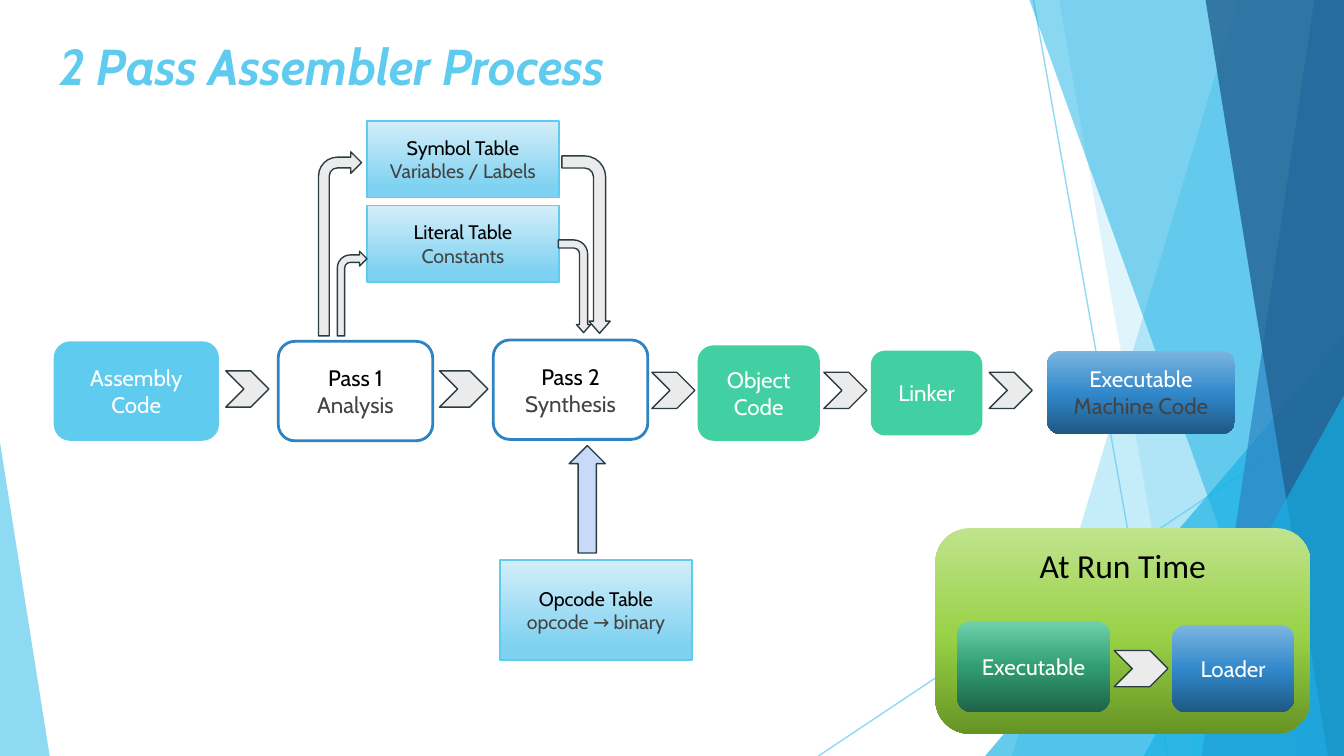
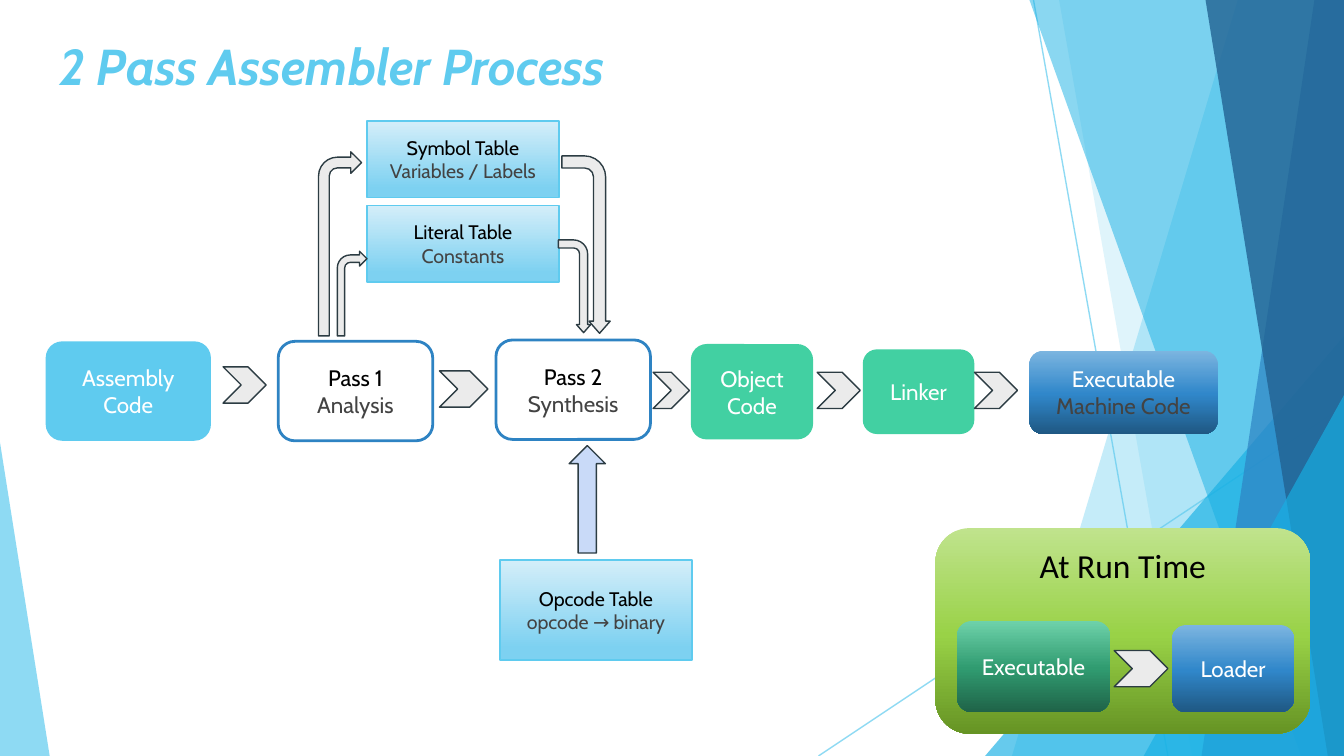
from dataclasses import dataclass

from lxml.etree import SubElement
from pptx import Presentation
from pptx.dml.color import RGBColor
from pptx.enum.shapes import MSO_CONNECTOR, MSO_SHAPE as Preset
from pptx.enum.text import MSO_ANCHOR as Anchor, MSO_AUTO_SIZE as AutoSize, PP_ALIGN as Align
from pptx.oxml.ns import qn
from pptx.util import Inches, Pt

COLORS = {
    "sky": "5FCBEF", "cyan": "17B0E4", "blue": "2E83C3", "navy": "226292",
    "mint": "42D0A2", "white": "FFFFFF", "black": "000000", "dark": "434343",
    "arrow": "EBEBEB", "outline": "2C3C43", "opcode": "C9DAF8",
}
GRADIENTS = {
    "table": [(0, "D4EEF9"), (88, "7DD1F1")],
    "lime": [(0, "C0E38D"), (52, "99D247"), (100, "669424")],
    "emerald": [(0, "6ED2AA"), (52, "309B70"), (100, "1F6348")],
    "ocean": [(0, "7CB5E0"), (52, "3087CA"), (100, "1F5883")],
}
FONT = "Cabin"
SLIDE_WIDTH, SLIDE_HEIGHT = Inches(10), Inches(5.625)
COLUMNS, ROWS = 100, 56.25


@dataclass
class Box:
    left: float
    top: float
    width: float
    height: float

    def inside(self, left, top, width, height):
        return Box(self.left + left, self.top + top, width, height)

    def emu(self):
        return (*grid_point(self.left, self.top), *grid_point(self.width, self.height))


PAGE = Box(0, 0, COLUMNS, ROWS)
TITLE = PAGE.inside(3.4, 1.6, 93.2, 6.3)
TABLES = PAGE.inside(23.7, 9, 26, 16)
PIPELINE = PAGE.inside(3.4, 25.3, 88.5, 7.5)
OPCODE = PAGE.inside(37.2, 33, 14.3, 16.1)
RUNTIME = PAGE.inside(69.6, 39.3, 27.9, 15.3)

STAGES = [
    (["Assembly Code"], 12.3, 7.4, "sky", None, "white"),
    (["Pass 1", "Analysis"], 11.5, 7.4, "white", "blue", "black"),
    (["Pass 2", "Synthesis"], 11.5, 7.4, "white", "blue", "black"),
    (["Object Code"], 9.1, 7.1, "mint", None, "white"),
    (["Linker"], 8.3, 6.3, "mint", None, "white"),
    (["Executable", "Machine Code"], 14, 6.2, "ocean", None, "white"),
]
PROCESSES = [
    {
        "stages": [(0.6, 0.1), (17.3, 0.1), (33.3, 0), (48.5, 0.4), (61.4, 0.8), (74.5, 0.8)],
        "chevrons": [(13.4, 2.3, 3.2), (29.3, 2.3, 3.6), (45.1, 2.4, 3.2),
                     (57.9, 2.4, 3.2), (70.2, 2.4, 3.2)],
    },
    {
        "stages": [(0, 0.1), (17.3, 0.1), (33.5, 0), (48, 0.3), (60.8, 0.7), (73.2, 0.8)],
        "chevrons": [(13.2, 2, 3.2), (29.3, 2.3, 3.6), (45.2, 2.4, 2.7),
                     (57.4, 2.4, 3.2), (69.1, 2.4, 3.2)],
    },
]
RAYS = [((76.9, 0), (86.9, ROWS)), ((COLUMNS, 30.2), (60.9, ROWS))]
FACETS = [
    ("band", 92.1, 75.3, "sky", 36),
    ("band", 78.8, 88.7, "sky", 20),
    ("triangle", Box(73.3, 25, 26.7, 31.25), 1, "cyan", 66),
    ("band", 76.6, 96.8, "cyan", 50),
    ("band", 97.8, 89.4, "blue", 70),
    ("band", 89.7, 98.8, "navy", 80),
    ("triangle", Box(85.1, 29.4, 14.9, 26.85), 1, "cyan", 66),
    ("triangle", Box(0, 32.9, 3.7, 23.35), 0, "sky", 70),
]


def grid_point(column, row):
    return round(column * SLIDE_WIDTH / COLUMNS), round(row * SLIDE_HEIGHT / ROWS)


def color(name):
    return RGBColor.from_string(COLORS[name])


def set_alpha(element, percent):
    for solid in element.spPr.iter(qn("a:solidFill")):
        SubElement(solid[0], qn("a:alpha"), val=str(percent * 1000))


def paint(shape, fill, line=None, weight=0.75):
    shape.shadow.inherit = False
    if fill in GRADIENTS:
        shape.fill.gradient()
        shape.fill.gradient_angle = 270
        stops = shape.element.spPr.find(qn("a:gradFill")).find(qn("a:gsLst"))
        for stop in list(stops):
            stops.remove(stop)
        for position, value in GRADIENTS[fill]:
            stop = SubElement(stops, qn("a:gs"), pos=str(position * 1000))
            SubElement(stop, qn("a:srgbClr"), val=value)
    else:
        shape.fill.solid()
        shape.fill.fore_color.rgb = color(fill)
    if line:
        shape.line.color.rgb = color(line)
        shape.line.width = Pt(weight)
    else:
        shape.line.fill.background()


def write(shape, lines, size, first_color, font=FONT, anchor=Anchor.MIDDLE, inset=0.1):
    frame = shape.text_frame
    frame.word_wrap = True
    frame.vertical_anchor = anchor
    frame.margin_left = frame.margin_right = Inches(0.1)
    frame.margin_top = frame.margin_bottom = Inches(inset)
    for index, line in enumerate(lines):
        paragraph = frame.add_paragraph() if index else frame.paragraphs[0]
        paragraph.text = line
        paragraph.alignment = Align.CENTER
        paragraph.font.name = font
        paragraph.font.size = Pt(size)
        paragraph.font.color.rgb = color("dark" if index else first_color)


def add_preset(slide, preset, box, fill, line=None, weight=0.75):
    shape = slide.shapes.add_shape(preset, *box.emu())
    paint(shape, fill, line, weight)
    return shape


def add_stage(slide, box, lines, fill, line=None, text_color="white"):
    shape = add_preset(slide, Preset.ROUNDED_RECTANGLE, box, fill, line, 1.5)
    write(shape, lines, 12, text_color)


def add_table_box(slide, box, lines):
    shape = add_preset(slide, Preset.RECTANGLE, box, "table", "sky", 1)
    write(shape, lines, 10.5, "black")


def add_arrow(slide, preset, box, fill="arrow", rotation=0):
    shape = add_preset(slide, preset, box, fill, "outline")
    shape.rotation = rotation
    return shape


def add_backdrop(master, slide):
    group = slide.shapes.add_group_shape()
    for start, end in RAYS:
        ray = group.shapes.add_connector(
            MSO_CONNECTOR.STRAIGHT, *grid_point(*start), *grid_point(*end))
        ray.line.color.rgb = color("sky")
        ray.line.width = Pt(0.75)
        set_alpha(ray.element, 70)
        SubElement(ray.element.spPr, qn("a:effectLst"))
    for kind, place, edge, fill, alpha in FACETS:
        if kind == "band":
            corners = [(COLUMNS, 0), (COLUMNS, ROWS), (edge, ROWS)]
            builder = group.shapes.build_freeform(*grid_point(place, 0))
            builder.add_line_segments([grid_point(*corner) for corner in corners], close=True)
            facet = builder.convert_to_shape()
        else:
            facet = group.shapes.add_shape(Preset.ISOSCELES_TRIANGLE, *place.emu())
            facet.adjustments[0] = edge
        paint(facet, fill)
        set_alpha(facet.element, alpha)
    for number, properties in enumerate(group.element.iter(qn("p:cNvPr")), 100):
        properties.set("id", str(number))
    master.shapes.element.insert(2, group.element)


def add_title(slide, box):
    title = slide.shapes.title
    title.left, title.top, title.width, title.height = box.emu()
    write(title, ["2 Pass Assembler Process"], 27, "sky", anchor=Anchor.TOP)
    title.text_frame.auto_size = AutoSize.NONE
    paragraph = title.text_frame.paragraphs[0]
    paragraph.alignment = Align.LEFT
    paragraph.font.bold = paragraph.font.italic = True


def add_lookup_tables(slide, box):
    tables = [["Symbol Table", "Variables / Labels"], ["Literal Table", "Constants"]]
    for row, lines in enumerate(tables):
        add_table_box(slide, box.inside(3.6, row * 6.3, 14.3, 5.7), lines)
    for place in [(1.4, 9.7, 2.2, 6.3), (0, 2.3, 3.2, 13.7)]:
        add_arrow(slide, Preset.BENT_ARROW, box.inside(*place))
    for place in [(13.3, 7.4, 13.2, 3.6), (15.6, 11.1, 6.9, 2.4)]:
        arrow = add_arrow(slide, Preset.BENT_ARROW, box.inside(*place), rotation=90)
        arrow.adjustments[1] = 0.22


def add_pipeline(slide, box, process):
    for (left, top), stage in zip(process["stages"], STAGES):
        lines, width, height, fill, line, text_color = stage
        add_stage(slide, box.inside(left, top, width, height), lines, fill, line, text_color)
    for left, top, width in process["chevrons"]:
        add_arrow(slide, Preset.CHEVRON, box.inside(left, top, width, 2.7))


def add_opcode_table(slide, box):
    add_table_box(slide, box.inside(0, 8.7, 14.3, 7.4), ["Opcode Table", "opcode → binary"])
    add_arrow(slide, Preset.RIGHT_ARROW, box.inside(2.5, 2.8, 8, 2.7), "opcode", 270)


def add_runtime_panel(slide, box):
    panel = add_preset(slide, Preset.ROUNDED_RECTANGLE, box, "lime")
    write(panel, ["At Run Time"], 18, "black", "Calibri", Anchor.TOP, 0.05)
    add_stage(slide, box.inside(1.6, 6.9, 11.4, 6.8), ["Executable"], "emerald")
    add_stage(slide, box.inside(17.6, 7.2, 9.1, 6.5), ["Loader"], "ocean")
    add_arrow(slide, Preset.CHEVRON, box.inside(13.3, 9.1, 4, 2.7))


def add_process_slide(presentation, process):
    slide = presentation.slides.add_slide(presentation.slide_layouts[5])
    add_title(slide, TITLE)
    add_runtime_panel(slide, RUNTIME)
    add_pipeline(slide, PIPELINE, process)
    add_lookup_tables(slide, TABLES)
    add_opcode_table(slide, OPCODE)
    return slide


def main():
    presentation = Presentation()
    presentation.slide_width, presentation.slide_height = SLIDE_WIDTH, SLIDE_HEIGHT
    slides = [add_process_slide(presentation, process) for process in PROCESSES]
    add_backdrop(presentation.slide_master, slides[0])
    presentation.save("out.pptx")


if __name__ == "__main__":
    main()
